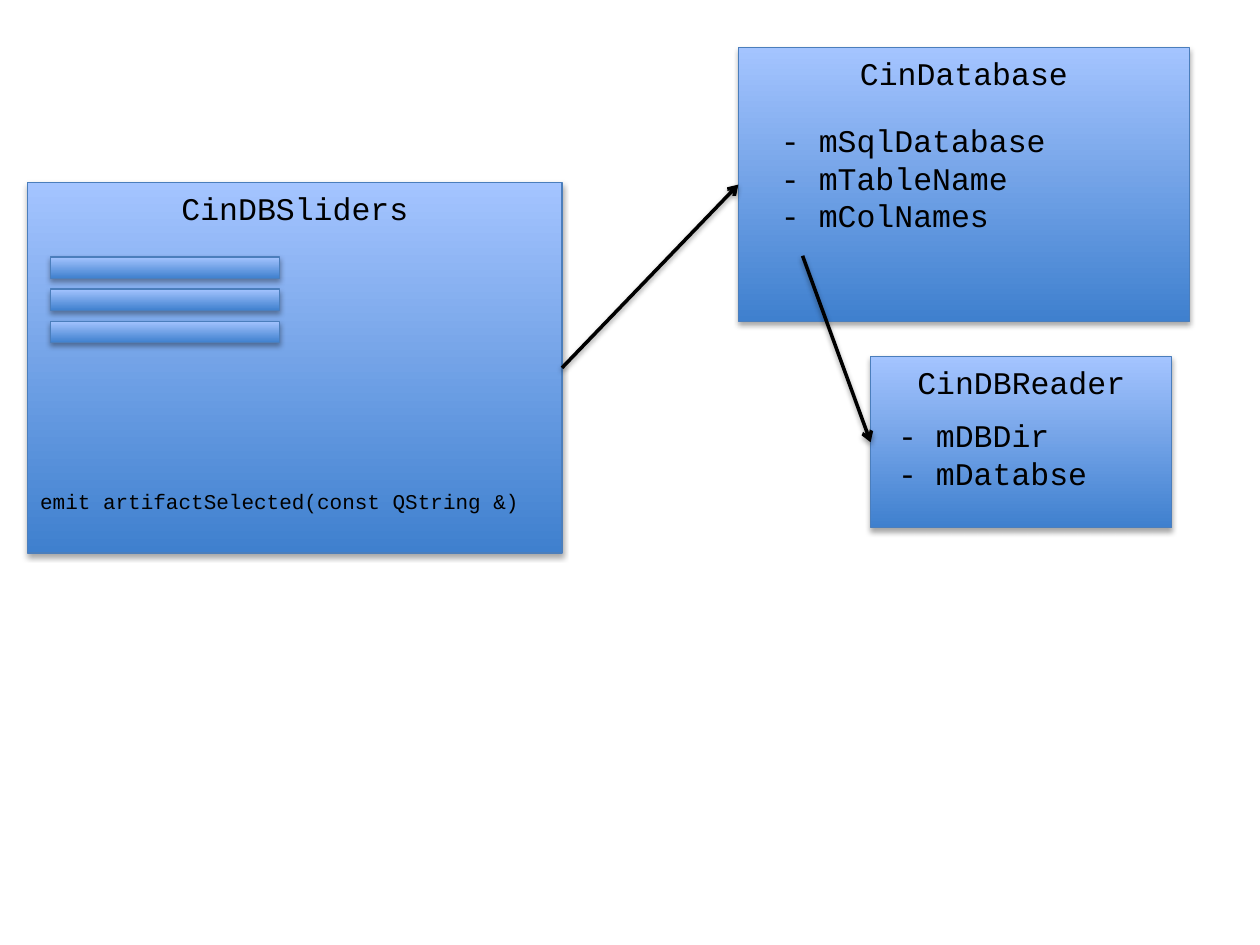
from lxml import etree
from pptx import Presentation
from pptx import util as u
from pptx.dml.color import RGBColor
from pptx.enum import shapes, text
from pptx.oxml import ns

FONT = "Courier New"
BLACK = "000000"
LEFT_SITE, RIGHT_SITE = 1, 3


def colour(target, value):
    target.rgb = RGBColor.from_string(value)


def add_shadow(element, alpha, distance):
    """Give a shape or connector a soft shadow straight below it."""
    properties = element._element.spPr
    effects = properties.find(ns.qn("a:effectLst"))
    if effects is None:
        effects = etree.SubElement(properties, ns.qn("a:effectLst"))
    shadow = etree.SubElement(
        effects, ns.qn("a:outerShdw"), blurRad="40000",
        dist=str(u.Pt(distance)), dir="5400000", rotWithShape="0")
    tint = etree.SubElement(shadow, ns.qn("a:srgbClr"), val=BLACK)
    etree.SubElement(tint, ns.qn("a:alpha"), val=str(alpha * 1000))


def write_lines(frame, lines, size, align):
    frame.word_wrap = True
    frame.vertical_anchor = text.MSO_ANCHOR.TOP
    for number, line in enumerate(lines):
        paragraph = frame.add_paragraph() if number else frame.paragraphs[0]
        paragraph.text = line
        paragraph.alignment = align
        paragraph.font.name = FONT
        paragraph.font.size = u.Pt(size)
        colour(paragraph.font.color, BLACK)


def add_box(slide, left, top, width, height, class_name=None):
    """Add a gradient box, headed by a class name if one is given."""
    box = slide.shapes.add_shape(
        shapes.MSO_SHAPE.RECTANGLE, u.Inches(left), u.Inches(top),
        u.Inches(width), u.Inches(height))
    box.fill.gradient()
    box.fill.gradient_angle = 90
    for stop, value in zip(box.fill.gradient_stops, ("3F80CE", "A4C4FF")):
        colour(stop.color, value)
    colour(box.line.color, "4B7EBC")
    box.line.width = u.Pt(0.75)
    box.shadow.inherit = False
    add_shadow(box, 35, 1.8)
    if class_name:
        write_lines(box.text_frame, [class_name], 18, text.PP_ALIGN.CENTER)
    return box


def add_label(slide, left, top, width, height, lines, size=18):
    label = slide.shapes.add_textbox(
        u.Inches(left), u.Inches(top), u.Inches(width), u.Inches(height))
    write_lines(label.text_frame, lines, size, text.PP_ALIGN.LEFT)
    label.text_frame.auto_size = text.MSO_AUTO_SIZE.SHAPE_TO_FIT_TEXT


def add_arrow(slide, start, target):
    """Add an arrow from a point to the left side of the target box."""
    arrow = slide.shapes.add_connector(
        shapes.MSO_CONNECTOR.STRAIGHT, u.Inches(start[0]), u.Inches(start[1]),
        target.left, target.top)
    arrow.end_connect(target, LEFT_SITE)
    colour(arrow.line.color, BLACK)
    arrow.line.width = u.Pt(2)
    etree.SubElement(arrow.line._get_or_add_ln(), ns.qn("a:tailEnd"), type="arrow")
    add_shadow(arrow, 38, 1.6)
    return arrow


def main():
    deck = Presentation()
    deck.slide_width, deck.slide_height = u.Inches(10), u.Inches(7.5)
    slide = deck.slides.add_slide(deck.slide_layouts[6])

    # Classes
    sliders = add_box(slide, 0.22, 1.45, 4.24, 2.94, "CinDBSliders")
    reader = add_box(slide, 6.91, 2.83, 2.39, 1.36, "CinDBReader")
    database = add_box(slide, 5.86, 0.38, 3.58, 2.17, "CinDatabase")

    # Slider bars
    for row in range(3):
        add_box(slide, 0.4, 2.04 + row * 0.255, 1.82, 0.17)

    # Members and signal
    add_label(slide, 6.1, 0.91, 3.06, 1.01,
              ["- mSqlDatabase", "- mTableName", "- mColNames"])
    add_label(slide, 7.03, 3.25, 3.06, 0.71, ["- mDBDir", "- mDatabse"])
    add_label(slide, 0.22, 3.83, 4.24, 0.3,
              ["emit artifactSelected(const QString &)"], size=12)

    # References between classes
    to_database = add_arrow(slide, (4.46, 2.92), database)
    to_database.begin_connect(sliders, RIGHT_SITE)
    add_arrow(slide, (6.37, 2.03), reader)

    deck.save("out.pptx")


if __name__ == "__main__":
    main()
